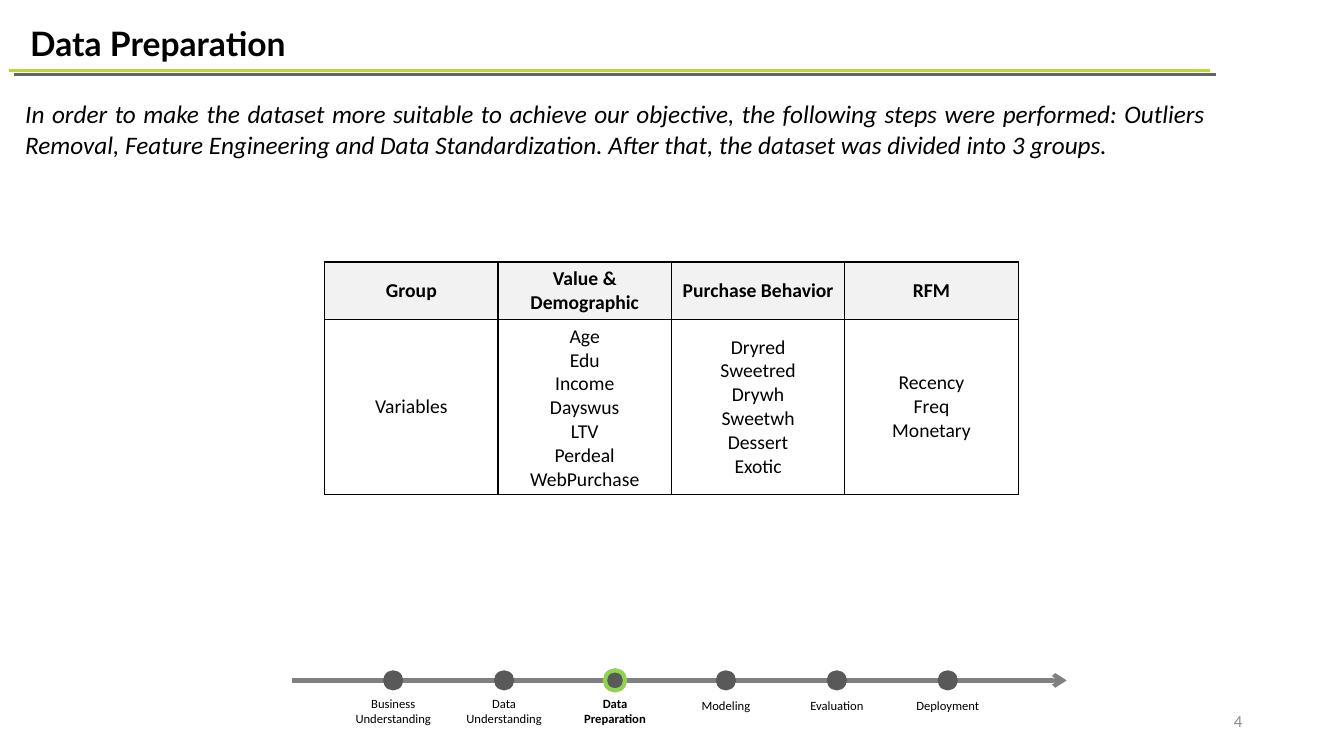
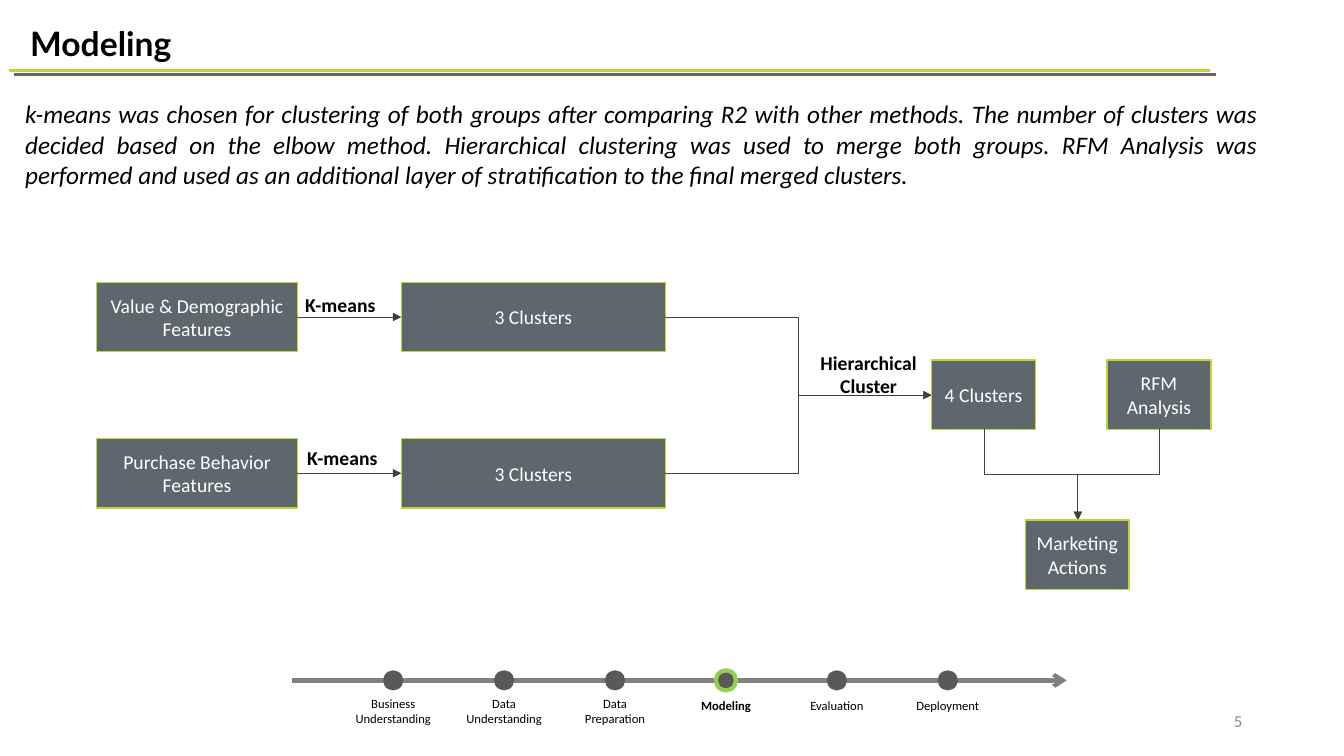
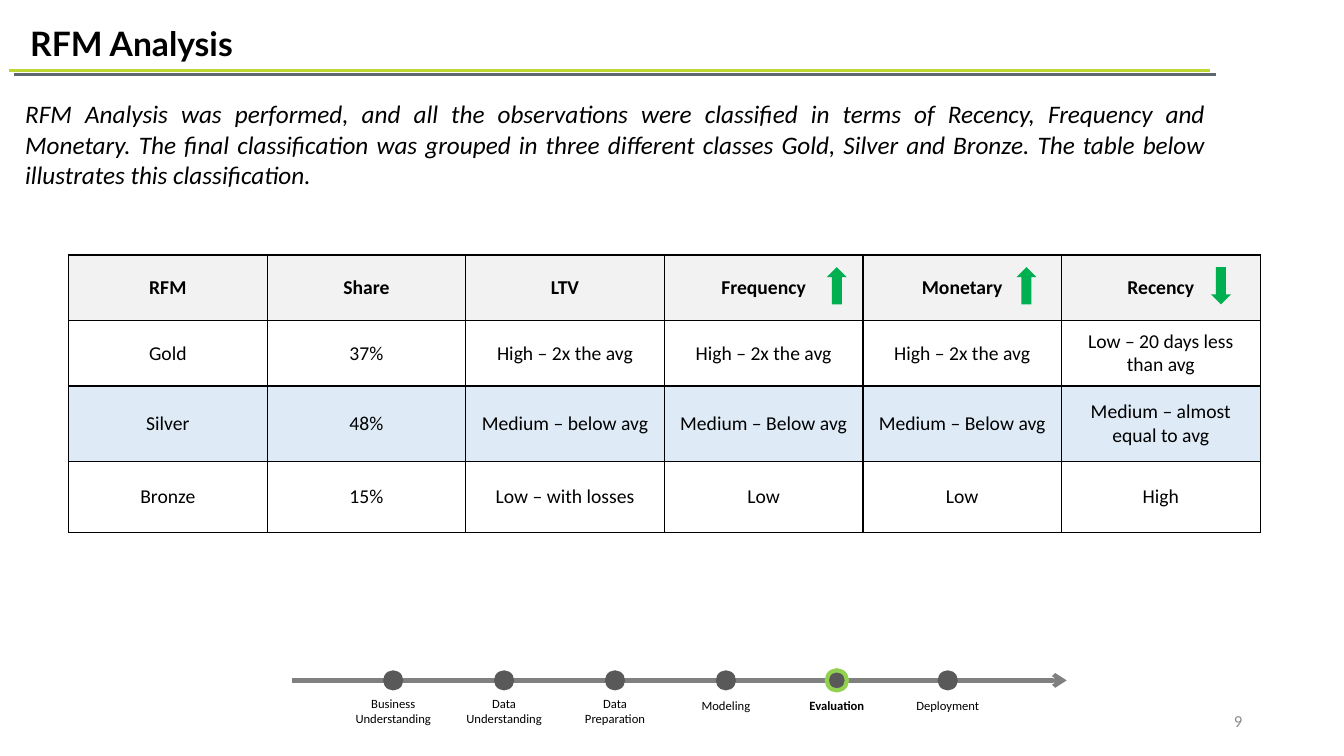
"""Builds three slides on data preparation, modeling and RFM analysis."""
from lxml import etree
from pptx import Presentation
from pptx import util as u
from pptx.dml.color import RGBColor
from pptx.enum import shapes, text
from pptx.oxml import ns

COLORS = {
    "black": "000000", "white": "FFFFFF", "lime": "BDD631", "slate": "5D676D",
    "dot": "595959", "active": "92D050", "track": "808080", "number": "8C8C8C",
    "link": "404040", "header": "F2F2F2", "stripe": "DEEBF7", "arrow": "00B050",
}
PHASES = ["Business Understanding", "Data Understanding", "Data Preparation",
          "Modeling", "Evaluation", "Deployment"]
ALIGN = text.PP_ALIGN
ANCHOR = text.MSO_ANCHOR
PRESET = shapes.MSO_SHAPE
LINK = shapes.MSO_CONNECTOR


def color(name):
    return RGBColor.from_string(COLORS[name])


def inches(*lengths):
    return [u.Inches(length) for length in lengths]


def write(frame, words, size=14, font="Calibri", ink="black", bold=False,
          italic=False, align=ALIGN.CENTER, anchor=ANCHOR.TOP):
    frame.text = words
    frame.word_wrap = True
    frame.vertical_anchor = anchor
    for paragraph in frame.paragraphs:
        paragraph.alignment = align
        paragraph.space_before = u.Pt(0)
        for run in paragraph.runs:
            run.font.name = font
            run.font.size = u.Pt(size)
            run.font.bold = bold
            run.font.italic = italic
            run.font.color.rgb = color(ink)


class Deck:
    """Holds the shared style and the current slide."""

    def __init__(self):
        self.presentation = Presentation()
        self.presentation.slide_width, self.presentation.slide_height = inches(13.33, 7.5)
        self.slide = None

    def new_slide(self, title, intro, phase, number, intro_width=11.91, intro_height=1.01):
        self.slide = self.presentation.slides.add_slide(self.presentation.slide_layouts[1])
        heading, body = self.slide.placeholders
        self.fill_placeholder(heading, (0.2, 0.18, 7.11, 0.5), title, size=24,
                              font="Lato", bold=True, align=ALIGN.LEFT)
        self.fill_placeholder(body, (0.15, 0.93, intro_width, intro_height), intro,
                              size=18, italic=True, align=ALIGN.JUSTIFY)
        self.line((0.09, 0.7), (12, 0.7), "lime", 2.25)
        self.line((0.14, 0.74), (12.06, 0.74), "slate", 2.25)
        self.timeline(phase)
        self.label((9.42, 6.95, 3, 0.4), str(number), size=12, ink="number",
                   align=ALIGN.RIGHT, anchor=ANCHOR.MIDDLE)

    def fill_placeholder(self, placeholder, box, words, **style):
        placeholder.left, placeholder.top, placeholder.width, placeholder.height = inches(*box)
        frame = placeholder.text_frame
        write(frame, words, **style)
        frame.auto_size = text.MSO_AUTO_SIZE.NONE
        for paragraph in frame.paragraphs:
            properties = paragraph._p.get_or_add_pPr()
            properties.set("marL", "0")
            properties.set("indent", "0")
            etree.SubElement(properties, ns.qn("a:buNone"))

    def label(self, box, words, **style):
        write(self.slide.shapes.add_textbox(*inches(*box)).text_frame, words, **style)

    def shape(self, preset, box, fill, outline=None, weight=1, rotation=0):
        shape = self.slide.shapes.add_shape(preset, *inches(*box))
        shape.shadow.inherit = False
        shape.rotation = rotation
        shape.fill.solid()
        shape.fill.fore_color.rgb = color(fill)
        if outline:
            shape.line.color.rgb = color(outline)
            shape.line.width = u.Pt(weight)
        else:
            shape.line.fill.background()
        return shape

    def box(self, box, words):
        shape = self.shape(PRESET.RECTANGLE, box, "slate", "lime")
        write(shape.text_frame, words, ink="white", anchor=ANCHOR.MIDDLE)

    def line(self, start, end, ink, weight, head=None, kind=LINK.STRAIGHT):
        connector = self.slide.shapes.add_connector(kind, *inches(*start, *end))
        connector.line.color.rgb = color(ink)
        connector.line.width = u.Pt(weight)
        properties = connector._element.spPr
        if head:
            etree.SubElement(connector.line._get_or_add_ln(), ns.qn("a:tailEnd"), type=head)
        etree.SubElement(properties, ns.qn("a:effectLst"))
        return connector

    def flow(self, start, end, kind=LINK.STRAIGHT):
        return self.line(start, end, "link", 0.5, "triangle", kind)

    def flow_down(self, start, end):
        across, down = end[0] - start[0], end[1] - start[1]
        middle_x, middle_y = start[0] + across / 2, start[1] + down / 2
        side = down / 2 if across > 0 else -down / 2
        rise = abs(across) / 2
        connector = self.flow((middle_x + side, middle_y - rise),
                              (middle_x - side, middle_y + rise), LINK.ELBOW)
        turn = 270 if across > 0 else 90
        connector._element.spPr.xfrm.set("rot", str(turn * 60000))

    def timeline(self, active):
        self.line((2.9, 6.75), (10.58, 6.75), "track", 3, "arrow")
        for index, phase in enumerate(PHASES):
            left = 3.8 + 1.1 * index
            current = phase == active
            self.shape(PRESET.OVAL, (left, 6.65, 0.2, 0.2), "dot",
                       "active" if current else None, 3)
            top, height = (6.85, 0.4) if " " in phase else (6.87, 0.25)
            self.label((left - 0.4, top, 1, height), phase, size=9, bold=current)

    def table(self, left, top, column_width, heights, rows, fills):
        width = column_width * len(rows[0])
        table = self.slide.shapes.add_table(
            len(rows), len(rows[0]), *inches(left, top, width, sum(heights))).table
        table.first_row = table.horz_banding = False
        for column in table.columns:
            column.width = u.Inches(column_width)
        for index, (row, height) in enumerate(zip(table.rows, heights)):
            row.height = u.Inches(height)
            for cell, words in zip(row.cells, rows[index]):
                write(cell.text_frame, words, bold=index == 0)
                cell.vertical_anchor = ANCHOR.MIDDLE
                self.finish_cell(cell, fills.get(index))

    def finish_cell(self, cell, fill):
        properties = cell._tc.get_or_add_tcPr()
        for side in ("lnL", "lnR", "lnT", "lnB"):
            border = etree.SubElement(properties, ns.qn("a:" + side), w=str(u.Pt(1)))
            solid = etree.SubElement(border, ns.qn("a:solidFill"))
            etree.SubElement(solid, ns.qn("a:srgbClr"), val=COLORS["black"])
        if fill:
            cell.fill.solid()
            cell.fill.fore_color.rgb = color(fill)
        else:
            cell.fill.background()


def preparation_slide(deck):
    deck.new_slide(
        "Data Preparation",
        "In order to make the dataset more suitable to achieve our objective, the following "
        "steps were performed: Outliers Removal, Feature Engineering and Data "
        "Standardization. After that, the dataset was divided into 3 groups.",
        "Data Preparation", 4, intro_height=0.71)
    deck.table(3.22, 2.6, 1.72, [0.57, 1.73], [
        ["Group", "Value & Demographic", "Purchase Behavior", "RFM"],
        ["Variables", "Age\nEdu\nIncome\nDayswus\nLTV\nPerdeal\nWebPurchase",
         "Dryred\nSweetred\nDrywh\nSweetwh\nDessert\nExotic", "Recency\nFreq\nMonetary"],
    ], {0: "header"})


def modeling_slide(deck):
    deck.new_slide(
        "Modeling",
        "k-means was chosen for clustering of both groups after comparing R2 with other "
        "methods. The number of clusters was decided based on the elbow method. Hierarchical "
        "clustering was used to merge both groups. RFM Analysis was performed and used as an "
        "additional layer of stratification to the final merged clusters.",
        "Modeling", 5, intro_width=12.43)
    height = 0.69
    features = [("Value & Demographic Features", 2.8, 2.43, 2.86),
                ("Purchase Behavior Features", 4.35, 2.45, 4.37)]
    for words, top, label_left, label_top in features:
        middle = top + height / 2
        deck.box((0.96, top, 1.99, height), words)
        deck.box((3.98, top, 2.62, height), "3 Clusters")
        deck.flow((2.95, middle), (3.98, middle))
        deck.label((label_left, label_top, 1.89, 0.34), "K-means", bold=True)
        deck.flow((6.6, middle), (9.24, 3.92), LINK.ELBOW)
    deck.label((7.87, 3.43, 1.49, 0.57), "Hierarchical Cluster", bold=True)
    for words, left in [("4 Clusters", 9.24), ("RFM Analysis", 10.98)]:
        deck.box((left, 3.57, 1.03, height), words)
        deck.flow_down((left + 0.52, 4.26), (10.69, 5.16))
    deck.box((10.17, 5.16, 1.03, height), "Marketing Actions")


def rfm_slide(deck):
    deck.new_slide(
        "RFM Analysis",
        "RFM Analysis was performed, and all the observations were classified in terms of "
        "Recency, Frequency and Monetary. The final classification was grouped in three "
        "different classes Gold, Silver and Bronze. The table below illustrates this "
        "classification.",
        "Evaluation", 9)
    deck.table(0.68, 2.53, 1.97, [0.65, 0.65, 0.75, 0.7], [
        ["RFM", "Share", "LTV", "Frequency", "Monetary", "Recency"],
        ["Gold", "37%"] + ["High – 2x the avg"] * 3 + ["Low – 20 days less than avg"],
        ["Silver", "48%", "Medium – below avg", "Medium – Below avg",
         "Medium – Below avg", "Medium – almost equal to avg"],
        ["Bronze", "15%", "Low – with losses", "Low", "Low", "High"],
    ], {0: "header", 2: "stripe"})
    for left, rotation in [(8.2, 180), (10.08, 180), (12.01, 0)]:
        deck.shape(PRESET.DOWN_ARROW, (left, 2.65, 0.2, 0.37), "arrow", rotation=rotation)


def main():
    deck = Deck()
    preparation_slide(deck)
    modeling_slide(deck)
    rfm_slide(deck)
    deck.presentation.save("out.pptx")


if __name__ == "__main__":
    main()
